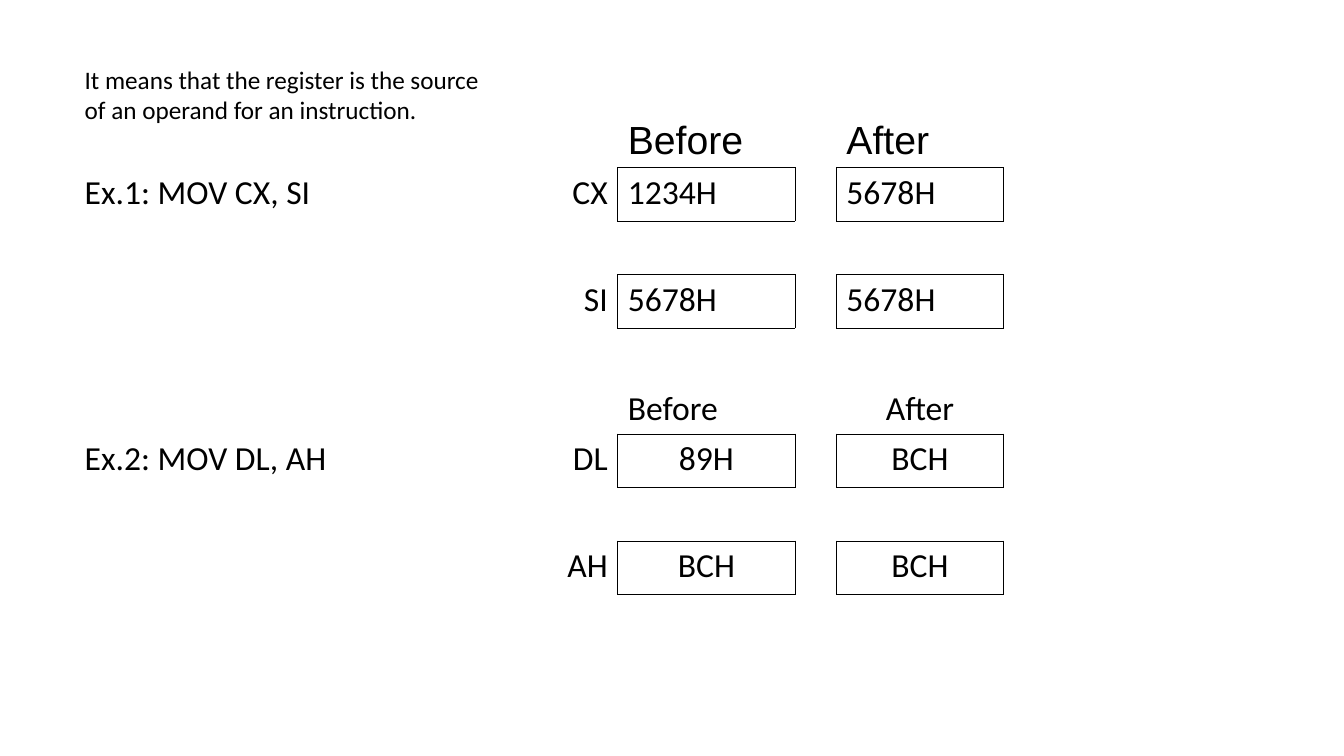
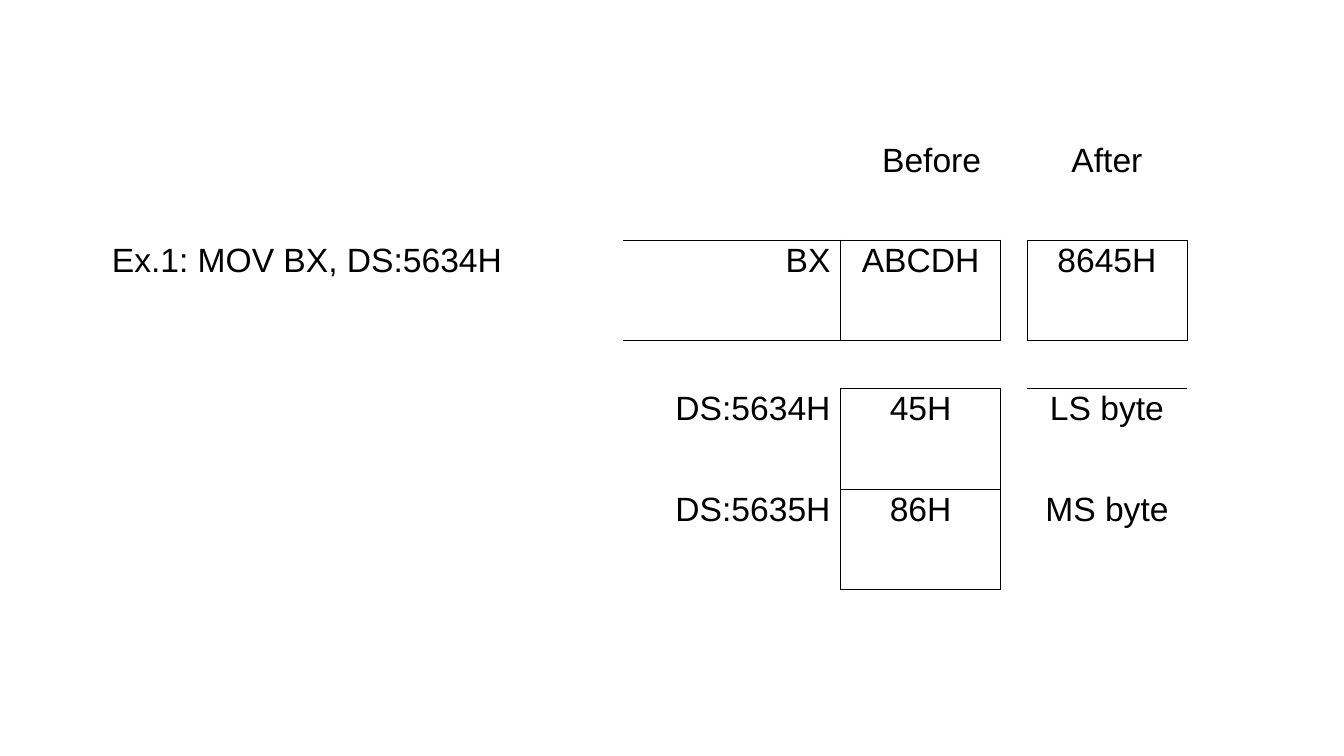
from dataclasses import dataclass, field

from lxml import etree
from pptx import Presentation
from pptx import util as u
from pptx.dml import color
from pptx.enum import text
from pptx.oxml import ns

LEFT, CENTER, RIGHT = text.PP_ALIGN.LEFT, text.PP_ALIGN.CENTER, text.PP_ALIGN.RIGHT
TOP, BOTTOM = text.MSO_ANCHOR.TOP, text.MSO_ANCHOR.BOTTOM
PLAIN_TABLE = "{2D5ABB26-0587-4C30-8999-92F81FD0307C}"
SIDES = {"L": (0, -1, "R"), "R": (0, 1, "L"), "T": (-1, 0, "B"), "B": (1, 0, "T")}


def text_style(name, size, spacing, anchor=TOP):
    """Return the font, paragraph and cell formats of one text style."""
    return {
        "font": {"name": name, "size": u.Pt(size)},
        "para": {"line_spacing": spacing},
        "cell": {"vertical_anchor": anchor},
    }


@dataclass(frozen=True)
class Theme:
    """Colours, line width and text styles shared by the slides."""

    ink: str = "000000"
    line: float = 0.45
    styles: dict = field(default_factory=lambda: {
        "note": text_style("Calibri", 18, 0.98),
        "code": text_style("Calibri", 24, 0.98),
        "head": text_style("Calibri", 24, 0.98, BOTTOM),
        "large": text_style("Arial", 28, 0.93, BOTTOM),
        "arial": text_style("Arial", 24, 0.93),
    })


def set_formats(target, formats):
    """Set each attribute of the target from a dict."""
    for name, value in formats.items():
        setattr(target, name, value)


@dataclass
class Builder:
    """Hold the theme, the deck and the current slide."""

    deck: object
    theme: Theme
    page: object = None

    def new_page(self):
        """Start a blank slide."""
        self.page = self.deck.slides.add_slide(self.deck.slide_layouts[6])

    def table(self, left, top, columns, rows, spans=()):
        """Add an unstyled table with merged column pairs."""
        frame = self.page.shapes.add_table(
            len(rows), len(columns), u.Pt(left), u.Pt(top),
            u.Pt(sum(columns)), u.Pt(sum(rows)))
        table = frame.table
        set_formats(table, {"first_row": False, "horz_banding": False})
        table._tbl.tblPr.find(ns.qn("a:tableStyleId")).text = PLAIN_TABLE
        for column, width in zip(table.columns, columns):
            column.width = u.Pt(width)
        for row, height in zip(table.rows, rows):
            row.height = u.Pt(height)
        for row, column in spans:
            table.cell(row, column).merge(table.cell(row, column + 1))
        for cell in table.iter_cells():
            cell.fill.background()
        return table

    def entry(self, table, row, column, words, style, align=LEFT):
        """Write one styled paragraph into a cell."""
        formats = self.theme.styles[style]
        cell = table.cell(row, column)
        set_formats(cell, formats["cell"])
        para = cell.text_frame.paragraphs[0]
        set_formats(para, {**formats["para"], "alignment": align, "space_before": u.Pt(0)})
        span = para.add_run()
        span.text = words
        set_formats(span.font, formats["font"])
        span.font.color.rgb = color.RGBColor.from_string(self.theme.ink)

    def borders(self, table, boxes, edges=()):
        """Draw boxes (row, first column, last column) and single edges."""
        wanted = set(edges)
        for row, first, last in boxes:
            wanted |= {(row, first, "L"), (row, last, "R")}
            wanted |= {(row, column, side) for column in range(first, last + 1) for side in "TB"}
            if first != last:
                wanted.add((row, first, "R"))
        facing = {(row + SIDES[side][0], column + SIDES[side][1], SIDES[side][2])
                  for row, column, side in wanted}
        height, width = len(table.rows), len(table.columns)
        for row in range(height):
            for column in range(width):
                sides = [side for side in SIDES if (row, column, side) in wanted | facing]
                self.cell_lines(table.cell(row, column), sides)

    def cell_lines(self, cell, sides):
        """Put border lines before the fill of a cell."""
        properties = cell._tc.get_or_add_tcPr()
        for index, side in enumerate(sides):
            line = etree.Element(ns.qn(f"a:ln{side}"), w=str(u.Pt(self.theme.line)))
            fill = etree.SubElement(line, ns.qn("a:solidFill"))
            etree.SubElement(fill, ns.qn("a:srgbClr"), val=self.theme.ink)
            properties.insert(index, line)


def register_page(builder):
    """Build the slide on register operands."""
    builder.new_page()
    table = builder.table(
        53.3, 43.2, [306, 82, 126.7, 29.5, 119.5],
        [76.6, 38.2, 38.2, 38.2, 75.6, 38.2, 38.2, 38.2])
    note = "It means that the register is the source of an operand for an instruction."
    builder.entry(table, 0, 0, note, "note")
    headings = [(0, "large", LEFT), (4, "head", CENTER)]
    for row, style, align in headings:
        builder.entry(table, row, 2, "Before", style)
        builder.entry(table, row, 4, "After", style, align)
    for row, example in [(1, "Ex.1: MOV CX, SI"), (5, "Ex.2: MOV DL, AH")]:
        builder.entry(table, row, 0, example, "code")
    registers = [
        (1, "CX", "1234H", "5678H", LEFT),
        (3, "SI", "5678H", "5678H", LEFT),
        (5, "DL", "89H", "BCH", CENTER),
        (7, "AH", "BCH", "BCH", CENTER),
    ]
    for row, register, before, after, align in registers:
        builder.entry(table, row, 1, register, "code", RIGHT)
        builder.entry(table, row, 2, before, "code", align)
        builder.entry(table, row, 4, after, "code", align)
    builder.borders(table, [(entry[0], column, column) for entry in registers for column in (2, 4)])


def memory_page(builder):
    """Build the slide on memory operands."""
    builder.new_page()
    table = builder.table(
        72.7, 99.4, [372.2, 155.5, 15.8, 98.6, 18.7, 114.5], [72, 72, 33.8, 72, 72],
        spans=[(0, 1), (1, 2), (2, 2), (3, 2), (4, 2)])
    builder.entry(table, 0, 3, "Before", "arial", CENTER)
    builder.entry(table, 0, 5, "After", "arial", CENTER)
    builder.entry(table, 1, 0, "Ex.1: MOV BX, DS:5634H", "arial")
    places = [
        (1, "BX", "ABCDH", "8645H"),
        (3, "DS:5634H", "45H", "LS byte"),
        (4, "DS:5635H", "86H", "MS byte"),
    ]
    for row, place, before, after in places:
        builder.entry(table, row, 1, place, "arial", RIGHT)
        builder.entry(table, row, 2, before, "arial", CENTER)
        builder.entry(table, row, 5, after, "arial", CENTER)
    boxes = [(place[0], 2, 3) for place in places] + [(1, 5, 5)]
    builder.borders(table, boxes, edges=[(1, 1, "T")])


def main():
    """Build and save the deck."""
    deck = Presentation()
    set_formats(deck, {"slide_width": u.Pt(960), "slide_height": u.Pt(540)})
    builder = Builder(deck, Theme())
    register_page(builder)
    memory_page(builder)
    deck.save("out.pptx")


if __name__ == "__main__":
    main()
